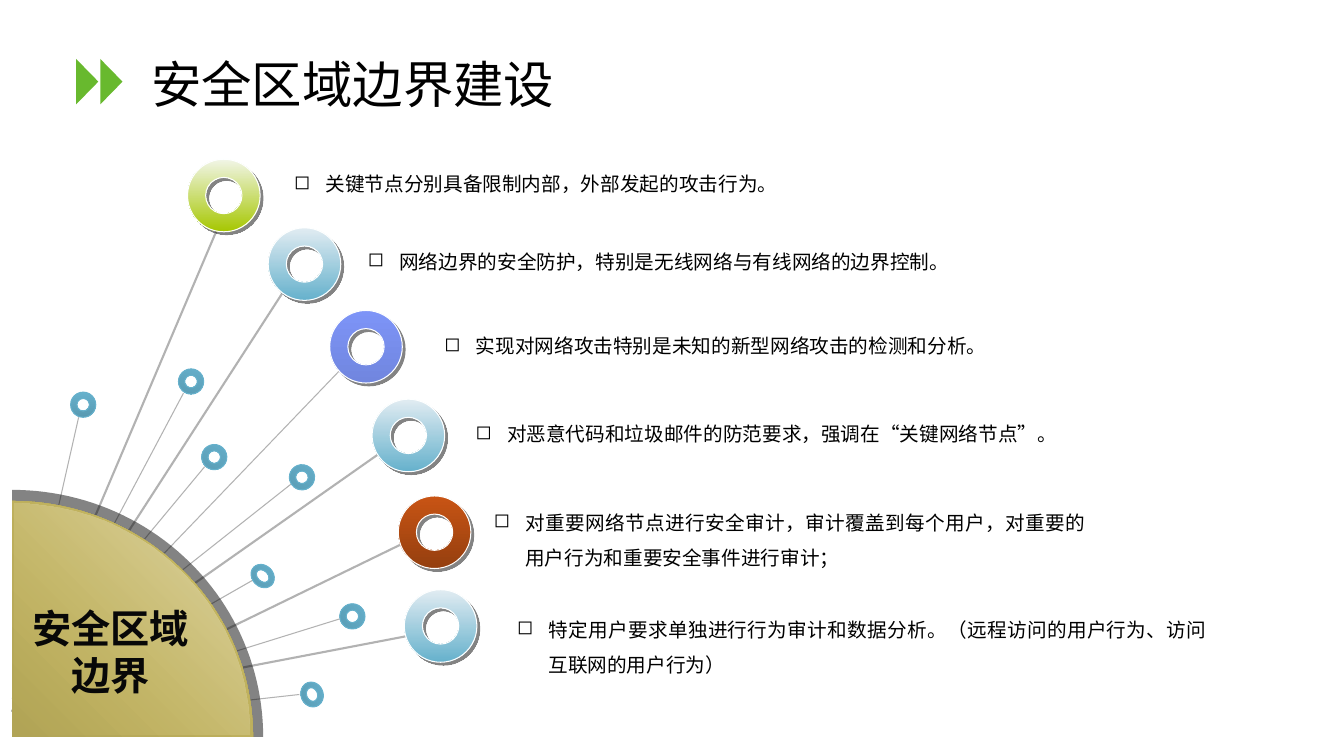
from math import cos, pi, sin

from lxml.etree import SubElement
from pptx import Presentation
from pptx.dml.color import RGBColor
from pptx.enum.shapes import MSO_CONNECTOR, MSO_SHAPE
from pptx.enum.text import MSO_ANCHOR, PP_ALIGN
from pptx.oxml.ns import qn
from pptx.util import Cm, Pt

FONT = "Noto Sans CJK SC"
TITLE = "安全区域边界建设"
HUB_LABEL = "安全区域边界"
HUB = (0.12, 7.31)
SKY = ("E1ECF2", "66B1CC")
TEAL = ("66B1CC", "599AB2")

# All positions are in inches.
# text, text box (left, top, width, height), ring (left, top), ring colours
POINTS = [
    ("关键节点分别具备限制内部，外部发起的攻击行为。",
     (2.82, 1.54, 6.87, 0.45), (1.86, 1.58), ("F1F5E7", "A6C701")),
    ("网络边界的安全防护，特别是无线网络与有线网络的边界控制。",
     (3.55, 2.31, 6.82, 0.41), (2.66, 2.26), SKY),
    ("实现对网络攻击特别是未知的新型网络攻击的检测和分析。",
     (4.31, 3.15, 6.69, 0.41), (3.27, 3.08), ("7D94F7", "7186DF")),
    ("对恶意代码和垃圾邮件的防范要求，强调在“关键网络节点”。",
     (4.62, 4.02, 6.87, 0.41), (3.69, 3.96), SKY),
    ("对重要网络节点进行安全审计，审计覆盖到每个用户，对重要的用户行为和重要安全事件进行审计；",
     (4.8, 4.9, 6.07, 0.77), (3.95, 4.92), ("C85414", "953F0F")),
    ("特定用户要求单独进行行为审计和数据分析。（远程访问的用户行为、访问互联网的用户行为）",
     (5.03, 5.96, 7.04, 0.77), (4.01, 5.85), SKY),
]

# outer end, inner end, width in points
MAIN_SPOKES = [
    ((4, 5.39), (0.2, 7.24), 1.5),
    ((3.48, 3.56), (0.12, 7.06), 0.75),
    ((2.16, 2.26), (0.12, 7.06), 1.5),
    ((2.89, 2.77), (0.12, 7.06), 1.5),
    ((3.79, 4.48), (0.12, 7.06), 1.5),
    ((4.04, 6.31), (0.12, 7.06), 1.5),
]

# spoke outer end, spoke inner end, ring (left, top, width, height), rotation
SATELLITES = [
    ((0.78, 4.14), (0.12, 7.06), (0.7, 3.89, 0.25, 0.25), 0),
    ((1.82, 3.9), (0.42, 6.54), (1.77, 3.66, 0.25, 0.25), 15),
    ((2.03, 4.63), (0.12, 6.93), (2, 4.41, 0.25, 0.25), 26.8),
    ((2.5, 5.76), (0.26, 7.04), (2.48, 5.61, 0.25, 0.21), 45.3),
    ((2.89, 4.8), (0.54, 6.66), (2.87, 4.61, 0.25, 0.25), 38.8),
    ((3.37, 6.14), (0.51, 7.03), (3.37, 5.99, 0.25, 0.25), 59.8),
    ((2.97, 6.89), (0.36, 7.18), (2.97, 6.78, 0.25, 0.22), 69),
]

TITLE_FORMAT = {"line_spacing": 0.9}
POINT_FORMAT = {"alignment": PP_ALIGN.JUSTIFY, "line_spacing": 1.5,
                "space_after": Pt(6)}
HUB_FORMAT = {"alignment": PP_ALIGN.CENTER}


def inches(*values):
    return [Cm(value * 2.54) for value in values]


def color(hex_string):
    return RGBColor.from_string(hex_string)


def set_alpha(shape, stop_xpath, percent):
    """Make one colour of the shape's fill partly transparent."""
    target = shape._element.xpath(f"./p:spPr/{stop_xpath}/a:srgbClr")[0]
    SubElement(target, qn("a:alpha"), val=str(percent * 1000))


def fill_gradient(shape, colors, angle):
    shape.fill.gradient()
    shape.fill.gradient_angle = angle
    for stop, hex_string in zip(shape.fill.gradient_stops, colors):
        stop.color.rgb = color(hex_string)


def add_spoke(page, outer, inner, width):
    spoke = page.shapes.add_connector(
        MSO_CONNECTOR.STRAIGHT, *inches(*outer, *inner))
    spoke.line.color.rgb = color("B2B2B2")
    spoke.line.width = Pt(width)
    SubElement(spoke._element.spPr, qn("a:effectLst"))


def add_ring(page, place, colors, edge, rotation=0):
    ring = page.shapes.add_shape(MSO_SHAPE.DONUT, *inches(*place))
    ring.adjustments[0] = 0.25
    ring.rotation = rotation
    ring.shadow.inherit = False
    fill_gradient(ring, colors, 270)
    ring.line.color.rgb = color(edge)
    ring.line.width = Pt(0.75)
    return ring


def add_drop_shadow(shape):
    effects = shape._element.spPr.find(qn("a:effectLst"))
    shadow = SubElement(effects, qn("a:outerShdw"), dist=str(Pt(2.8)),
                        dir="2700000", algn="ctr", rotWithShape="0")
    tint = SubElement(shadow, qn("a:srgbClr"), val="080808")
    SubElement(tint, qn("a:alpha"), val="50000")


def add_quarter(page, left, bottom, width, height, steps=48):
    """Draw a quarter disc whose centre is its lower left corner."""
    angles = [pi / 2 * step / steps for step in range(steps + 1)]
    arc = [inches(left + width * sin(a), bottom - height * cos(a))
           for a in angles]
    builder = page.shapes.build_freeform(*inches(left, bottom))
    builder.add_line_segments(arc, close=True)
    quarter = builder.convert_to_shape()
    quarter.shadow.inherit = False
    quarter.line.fill.background()
    return quarter


def add_text(page, place, text, size, paragraph_format, bold=False,
             bullet=None, anchor=MSO_ANCHOR.TOP):
    box = page.shapes.add_textbox(*inches(*place))
    frame = box.text_frame
    frame.word_wrap = True
    frame.vertical_anchor = anchor
    para = frame.paragraphs[0]
    for name, value in paragraph_format.items():
        setattr(para, name, value)
    if bullet:
        properties = para._p.get_or_add_pPr()
        indent = Cm(0.79)
        properties.set("marL", str(indent))
        properties.set("indent", str(-indent))
        SubElement(properties, qn("a:buChar"), char=bullet)
    span = para.add_run()
    span.text = text
    for name, value in {"name": FONT, "size": Pt(size), "bold": bold}.items():
        setattr(span.font, name, value)
    span.font.color.rgb = color("080808" if bold else "000000")
    SubElement(span._r.get_or_add_rPr(), qn("a:ea"), typeface=FONT)


def main():
    deck = Presentation()
    deck.slide_width, deck.slide_height = inches(13.33, 7.5)
    page = deck.slides.add_slide(deck.slide_layouts[6])

    for left in (0.88, 0.64):
        marker = page.shapes.add_shape(
            MSO_SHAPE.ISOSCELES_TRIANGLE, *inches(left, 0.7, 0.45, 0.22))
        marker.rotation = 90
        marker.shadow.inherit = False
        marker.fill.solid()
        marker.fill.fore_color.rgb = color("68B92E")
        marker.line.fill.background()
    add_text(page, (1.4, 0.4, 11.01, 0.93), TITLE, 36, TITLE_FORMAT,
             anchor=MSO_ANCHOR.MIDDLE)

    for outer, inner, width in MAIN_SPOKES:
        add_spoke(page, outer, inner, width)
    for text, place, corner, colors in POINTS:
        add_text(page, place, text, 14, POINT_FORMAT, bullet="◻")
        add_drop_shadow(add_ring(page, (*corner, 0.72, 0.72), colors, "FEFFFF"))
    for outer, inner, place, rotation in SATELLITES:
        add_spoke(page, outer, inner, 0.75)
        add_ring(page, place, TEAL, TEAL[0], rotation)

    rim = add_quarter(page, *HUB, 2.49, 2.45)
    rim.fill.solid()
    rim.fill.fore_color.rgb = color("080808")
    set_alpha(rim, "a:solidFill", 50)
    disc = add_quarter(page, *HUB, 2.39, 2.34)
    fill_gradient(disc, ("B1A456", "CBBC63"), 45)
    gloss = add_quarter(page, 0.14, 7.29, 2.33, 2.29)
    fill_gradient(gloss, ("CBBC63", "E0D8B2"), 45)
    set_alpha(gloss, "a:gradFill/a:gsLst/a:gs[1]", 0)
    add_text(page, (0.2, 5.95, 1.79, 1.04), HUB_LABEL, 28, HUB_FORMAT,
             bold=True)

    deck.save("out.pptx")


if __name__ == "__main__":
    main()
